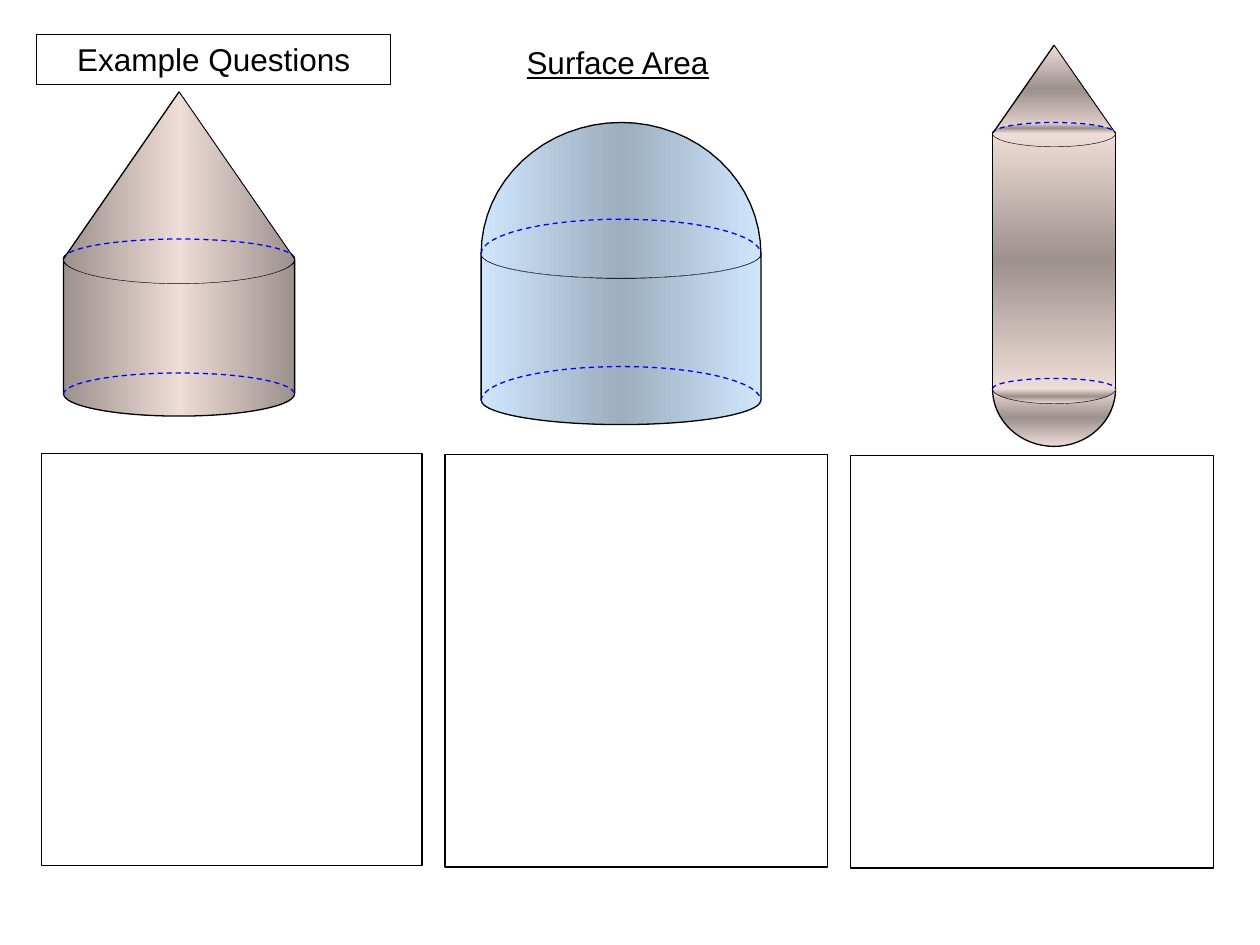
"""Build the surface area slide with three composite solids and answer boxes."""
import math
from copy import deepcopy
from dataclasses import dataclass
from typing import Optional

from lxml import etree
from pptx import Presentation, util as u
from pptx.dml import color
from pptx.enum import dml, shapes, text
from pptx.oxml import ns

BLACK, BLUE = "000000", "0000FF"


@dataclass
class Box:
    """A rectangle in centimetres."""
    left: float
    top: float
    width: float
    height: float

    def emu(self):
        """Return the four lengths."""
        return [u.Cm(v) for v in (self.left, self.top, self.width, self.height)]


@dataclass
class Shade:
    """A mirrored gradient from edge to middle."""
    edge: str
    middle: str
    angle: int


@dataclass
class Stroke:
    """An outline."""
    hex: str = BLACK
    width: float = 0.75
    dashed: bool = False


@dataclass
class Arc:
    """Half an ellipse; a positive rise goes up, a negative one down."""
    cx: float
    y: float
    rx: float
    rise: float


SOLID, FINE, THIN = Stroke(), Stroke(width=0.5), Stroke(width=0.25)
HIDDEN_EDGE = Stroke(BLUE, dashed=True)
CLAY = Shade("9D918D", "EEDCD6", 0)
SKY = Shade("CFE6FD", "9CAEBF", 0)
CAPSULE = Shade("EEDCD6", "9D918D", 90)
ANSWER_BOXES = [Box(0.84, 9.14, 7.67, 8.31), Box(8.97, 9.17, 7.72, 8.31),
                Box(17.15, 9.19, 7.32, 8.31)]


def rgb(value: str) -> color.RGBColor:
    """Turn a hex string into a colour."""
    return color.RGBColor.from_string(value)


def set_line(sp, stroke: Optional[Stroke]) -> None:
    """Apply an outline, or none."""
    if stroke is None:
        sp.line.fill.background()
        return
    sp.line.color.rgb = rgb(stroke.hex)
    sp.line.width = u.Pt(stroke.width)
    if stroke.dashed:
        sp.line.dash_style = dml.MSO_LINE.DASH


def style(sp, shade: Optional[Shade], stroke: Optional[Stroke]):
    """Give a shape its gradient and outline."""
    sp.shadow.inherit = False
    if shade is None:
        sp.fill.background()
    else:
        sp.fill.gradient()
        sp.fill.gradient_angle = shade.angle
        stops = sp._element.spPr.find(".//" + ns.qn("a:gsLst"))
        stops.append(deepcopy(stops[0]))
        hexes = (shade.edge, shade.middle, shade.edge)
        for i, (stop, value) in enumerate(zip(sp.fill.gradient_stops, hexes)):
            stop.position = i / 2
            stop.color.rgb = rgb(value)
    set_line(sp, stroke)
    return sp


def add_preset(parent, kind, box: Box, shade: Optional[Shade] = None,
               stroke: Optional[Stroke] = SOLID):
    """Add a styled preset shape."""
    return style(parent.shapes.add_shape(kind, *box.emu()), shade, stroke)


def add_arc(parent, arc: Arc, shade: Optional[Shade], stroke: Stroke, steps: int = 32):
    """Add half an ellipse as an open outline."""
    angles = [math.pi * (1 - i / steps) for i in range(steps + 1)]
    points = [(u.Cm(arc.cx + arc.rx * math.cos(a)), u.Cm(arc.y - arc.rise * math.sin(a)))
              for a in angles]
    builder = parent.shapes.build_freeform(*points[0])
    builder.add_line_segments(points[1:], close=False)
    return style(builder.convert_to_shape(), shade, stroke)


def add_edge(parent, x1: float, y1: float, x2: float, y2: float, stroke: Stroke = SOLID):
    """Add a straight edge."""
    ends = [u.Cm(v) for v in (x1, y1, x2, y2)]
    line = parent.shapes.add_connector(shapes.MSO_CONNECTOR.STRAIGHT, *ends)
    set_line(line, stroke)
    etree.SubElement(line._element.spPr, ns.qn("a:effectLst"))


def add_cone(parent, cx: float, rx: float, apex: float, base: float, shade: Shade):
    """Add the shaded side of a cone."""
    box = Box(cx - rx, apex, 2 * rx, base - apex)
    add_preset(parent, shapes.MSO_SHAPE.ISOSCELES_TRIANGLE, box, shade, None)


def add_cone_edges(parent, cx: float, rx: float, apex: float, base: float):
    """Add both slanted edges of a cone."""
    add_edge(parent, cx - rx, base, cx, apex)
    add_edge(parent, cx, apex, cx + rx, base, FINE)


def draw_cone_on_cylinder(s):
    """Draw the first solid."""
    g = s.shapes.add_group_shape()
    cx, rx, apex, rim = 3.61, 2.33, 1.85, 5.22
    add_preset(g, shapes.MSO_SHAPE.CAN, Box(cx - rx, 4.78, 2 * rx, 3.61), CLAY)
    add_cone(g, cx, rx, apex, rim, CLAY)
    add_arc(g, Arc(cx, rim, rx, -0.5), CLAY, THIN)
    add_arc(g, Arc(cx, rim, rx, 0.4), CLAY, HIDDEN_EDGE)
    add_cone_edges(g, cx, rx, apex, rim)
    add_arc(g, Arc(cx, 7.95, rx, 0.43), CLAY, HIDDEN_EDGE)


def draw_dome_on_cylinder(s):
    """Draw the second solid."""
    g = s.shapes.add_group_shape()
    cx, rx, rim = 12.52, 2.82, 5.12
    add_preset(g, shapes.MSO_SHAPE.CAN, Box(cx - rx, 4.62, 2 * rx, 3.94), SKY)
    add_arc(g, Arc(cx, rim, rx, 2.65), SKY, SOLID)
    add_arc(g, Arc(cx, rim, rx, 0.7), SKY, HIDDEN_EDGE)
    add_arc(g, Arc(cx, rim, rx, -0.49), SKY, THIN)
    add_arc(g, Arc(cx, 8.08, rx, 0.69), SKY, HIDDEN_EDGE)


def draw_capsule(s):
    """Draw the third solid: cone, cylinder and hemisphere."""
    g = s.shapes.add_group_shape()
    cx, rx, apex, rim, base = 21.25, 1.24, 0.91, 2.69, 7.84
    add_cone(g, cx, rx, apex, rim, CAPSULE)
    add_arc(g, Arc(cx, rim, rx, 0.22), CAPSULE, HIDDEN_EDGE)
    add_cone_edges(g, cx, rx, apex, rim)
    add_arc(g, Arc(cx, base, rx, -1.16), CAPSULE, SOLID)
    add_arc(g, Arc(cx, base, rx, -0.3), CAPSULE, THIN)
    add_preset(g, shapes.MSO_SHAPE.RECTANGLE,
               Box(cx - rx, rim, 2 * rx, base - rim), CAPSULE, None)
    add_arc(g, Arc(cx, base, rx, 0.21), None, HIDDEN_EDGE)
    add_arc(g, Arc(cx, rim, rx, -0.27), None, THIN)
    for x in (cx - rx, cx + rx):
        add_edge(g, x, base, x, rim)


def write(sp, words: str, *, align, underline: bool = False):
    """Write one formatted line into a shape."""
    tf = sp.text_frame
    tf.word_wrap = True
    tf.auto_size = text.MSO_AUTO_SIZE.NONE
    tf.vertical_anchor = text.MSO_ANCHOR.TOP
    p = tf.paragraphs[0]
    p.alignment = align
    r = p.add_run()
    r.text = words
    r.font.name, r.font.size = "Arial", u.Pt(18)
    r.font.underline = underline
    r.font.color.rgb = rgb(BLACK)


def main():
    """Build and save the slide."""
    prs = Presentation()
    prs.slide_width, prs.slide_height = u.Cm(25.4), u.Cm(19.05)
    s = prs.slides.add_slide(prs.slide_layouts[5])
    draw_cone_on_cylinder(s)
    draw_dome_on_cylinder(s)
    draw_capsule(s)
    title = s.shapes.title
    title.left, title.top, title.width, title.height = Box(10.36, 0.74, 5.23, 1.02).emu()
    write(title, "Surface Area", align=text.PP_ALIGN.LEFT, underline=True)
    for box in ANSWER_BOXES:
        add_preset(s, shapes.MSO_SHAPE.RECTANGLE, box)
    label = add_preset(s, shapes.MSO_SHAPE.RECTANGLE, Box(0.74, 0.69, 7.14, 1.02))
    write(label, "Example Questions", align=text.PP_ALIGN.CENTER)
    prs.save("out.pptx")


if __name__ == "__main__":
    main()
